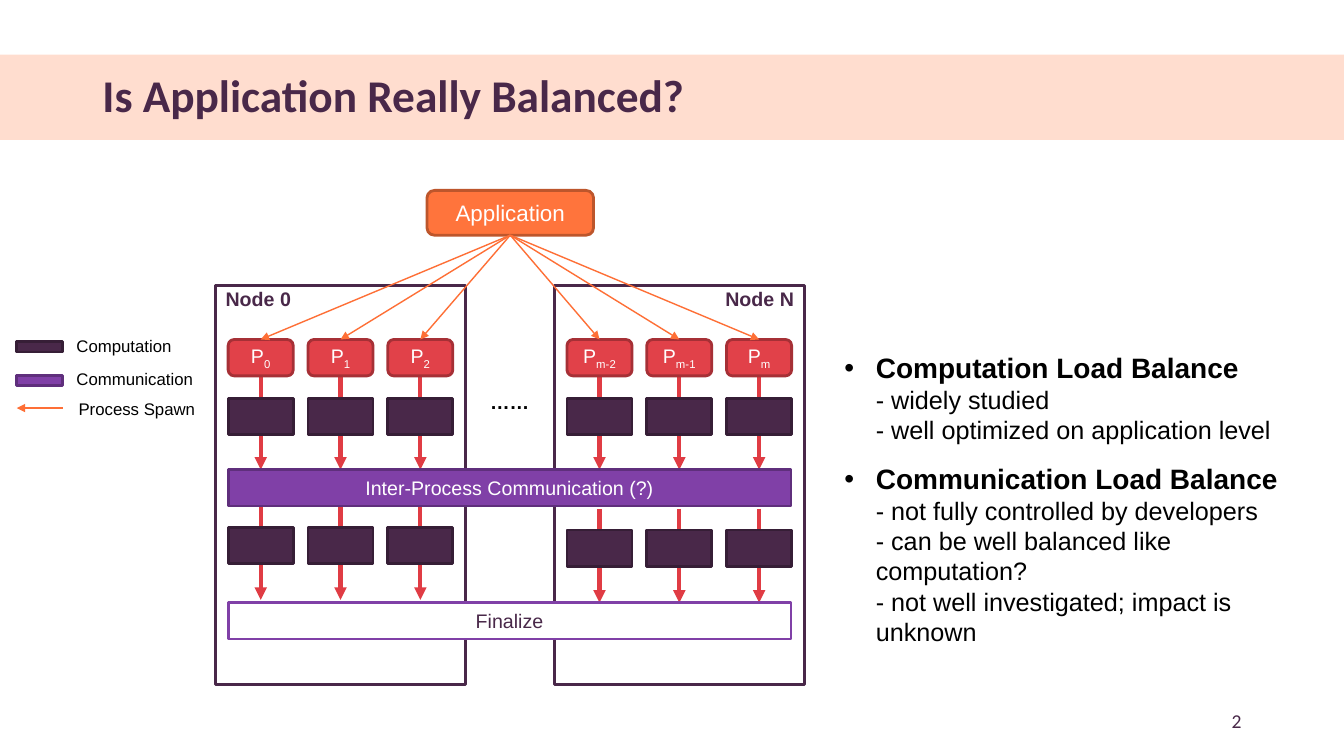
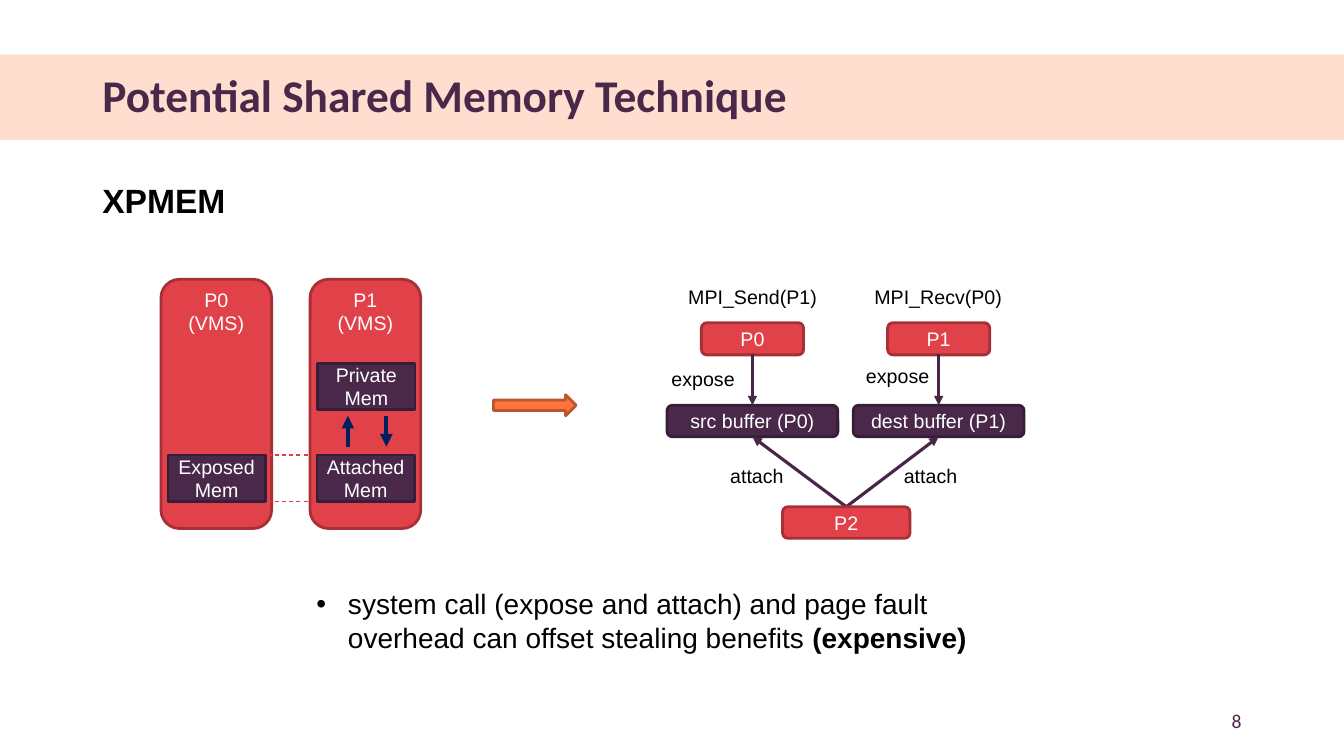
from lxml.etree import SubElement
from pptx import Presentation
from pptx.dml.color import RGBColor
from pptx.enum.dml import MSO_LINE
from pptx.enum.shapes import MSO_CONNECTOR, MSO_SHAPE
from pptx.enum.text import MSO_ANCHOR, MSO_AUTO_SIZE, PP_ALIGN
from pptx.oxml.ns import qn
from pptx.util import Pt

# Shared colours: each skin is (fill, outline)
BLACK, WHITE, PLUM, ROSE, FLAME = "000000", "FFFFFF", "492849", "E03C44", "FE6F36"
NAVY, PEACH = "002060", "FFDDCF"
DARK = (PLUM, "361E36")
RED = ("E14149", "A63036")
ORANGE = ("FF743C", "BD562C")
PURPLE = ("8040A7", "5F2F7C")
FRAME = (WHITE, PLUM)
HOLLOW = (WHITE, "8040A7")
RECT, ROUND = MSO_SHAPE.RECTANGLE, MSO_SHAPE.ROUNDED_RECTANGLE


def ink(code):
    return RGBColor.from_string(code)


# Text helpers
def write(para, text, size=14, color=BLACK, bold=False, face="Arial", sub=False):
    run = para.add_run()
    run.text = text
    font = run.font
    font.name, font.size, font.bold = face, Pt(size), bold
    font.color.rgb = ink(color)
    if sub:
        run._r.get_or_add_rPr().set("baseline", "-25000")


def label(slide, x, y, w, text, h=24, **style):
    frame = slide.shapes.add_textbox(Pt(x), Pt(y), Pt(w), Pt(h)).text_frame
    frame.word_wrap = True
    if text:
        write(frame.paragraphs[0], text, **style)
    return frame


def bullet(para):
    props = para._p.get_or_add_pPr()
    props.set("marL", str(Pt(22.5)))
    props.set("indent", str(-Pt(22.5)))
    tint = SubElement(props, qn("a:buClr"))
    SubElement(tint, qn("a:srgbClr")).set("val", BLACK)
    SubElement(props, qn("a:buFont")).set("typeface", "Arial")
    SubElement(props, qn("a:buChar")).set("char", "•")


# Shape helpers
def box(slide, x, y, w, h, skin, kind=RECT, text="", sub="", size=14,
        color=WHITE):
    shape = slide.shapes.add_shape(kind, Pt(x), Pt(y), Pt(w), Pt(h))
    shape.shadow.inherit = False
    shape.fill.solid()
    shape.fill.fore_color.rgb = ink(skin[0])
    shape.line.color.rgb = ink(skin[1])
    shape.line.width = Pt(2)
    frame = shape.text_frame
    frame.margin_left = frame.margin_right = 0
    frame.margin_top = frame.margin_bottom = 0
    frame.vertical_anchor = MSO_ANCHOR.MIDDLE
    para = frame.paragraphs[0]
    para.alignment = PP_ALIGN.CENTER
    if text:
        write(para, text, size, color)
    if sub:
        write(para, sub, size, color, sub=True)
    return shape


def line(slide, x1, y1, x2, y2, color, width, dash=False):
    link = slide.shapes.add_connector(
        MSO_CONNECTOR.STRAIGHT, Pt(x1), Pt(y1), Pt(x2), Pt(y2))
    link.line.color.rgb = ink(color)
    link.line.width = Pt(width)
    if dash:
        link.line.dash_style = MSO_LINE.DASH
    else:
        SubElement(link.line._get_or_add_ln(), qn("a:tailEnd")).set("type", "triangle")
    SubElement(link._element.spPr, qn("a:effectLst"))


# Band, title and page number
def start(deck, text, page):
    slide = deck.slides.add_slide(deck.slide_layouts[5])
    band = box(slide, 0, 39, 960, 61, (PEACH, PEACH))
    band.line.fill.background()
    slide.shapes._spTree.insert(2, band._element)
    title = slide.shapes.title
    title.left, title.top, title.width, title.height = Pt(66), Pt(51), Pt(828), Pt(37.5)
    frame = title.text_frame
    frame.auto_size = MSO_AUTO_SIZE.NONE
    frame.vertical_anchor = MSO_ANCHOR.MIDDLE
    para = frame.paragraphs[0]
    para.alignment = PP_ALIGN.LEFT
    para.line_spacing = 0.9
    write(para, text, 32.4, PLUM, True, "Calibri")
    foot = label(slide, 678, 500, 216, str(page), h=29, color=PLUM, face="Calibri")
    foot.vertical_anchor = MSO_ANCHOR.MIDDLE
    foot.paragraphs[0].alignment = PP_ALIGN.RIGHT
    return slide


# Legend
def legend(slide, x, y):
    for top, skin, text in ((0, DARK, "Computation"), (24, PURPLE, "Communication")):
        box(slide, x, y + top, 33, 7.5, skin)
        label(slide, x + 35.5, y + top - 8, 110, text, size=12)
    line(slide, x + 33, y + 47.5, x, y + 47.5, FLAME, 1)
    label(slide, x + 37, y + 37.5, 110, "Process Spawn", size=12)


# One node: process columns with two computation phases
def node(slide, x, y, subs, name, shift, drop):
    box(slide, x, y, 178.5, 285, FRAME)
    label(slide, x + shift, y - 2.5, 68, name, color=PLUM, bold=True)
    for col, sub in enumerate(subs):
        left = x + 9 + 57 * col
        mid = left + 23.25
        line(slide, mid, y + 64.5, mid, y + 131.5, ROSE, 3)
        line(slide, mid, y + 157.5 + drop, mid, y + 224.5 + drop, ROSE, 3)
        box(slide, left, y + 38.5, 46.5, 26, RED, ROUND, "P", sub)
        for top in (80.5, 172.5 + drop):
            box(slide, left, y + top, 46.5, 26, DARK)


# Application spawning processes on two nodes
def spawn(slide, x, y):
    nodes = ((x, "012", "Node 0", 0, 0),
             (x + 242, ("m-2", "m-1", "m"), "Node N", 115, 2))
    for left, subs, name, shift, drop in nodes:
        node(slide, left, y + 68, subs, name, shift, drop)
    box(slide, x + 151, y, 119, 32, ORANGE, ROUND, "Application", size=16)
    label(slide, x + 189, y + 139, 52, "……", bold=True)
    for left, *_ in nodes:
        for col in range(3):
            line(slide, x + 210.5, y + 32, left + 32.25 + 57 * col, y + 106.5, FLAME, 1)
    box(slide, x + 9, y + 199.5, 402, 26, PURPLE,
        text="Inter-Process Communication (?)")
    box(slide, x + 9, y + 294.5, 402, 26, HOLLOW, text="Finalize", color=PLUM)


# Bulleted findings
def notes(slide, x, y, w, h, items):
    frame = label(slide, x, y, w, "", h)
    for rank, (head, *rows) in enumerate(items):
        para = frame.add_paragraph() if rank else frame.paragraphs[0]
        bullet(para)
        para.space_before = Pt(6 if rank else 0)
        para.space_after = Pt(6)
        write(para, head, 20, bold=True)
        for row in rows:
            para.add_line_break()
            write(para, row, 18)


# Two address spaces sharing a memory block
def memory(slide, x, y):
    for col, (name, kind) in enumerate((("P0", "Exposed"), ("P1", "Attached"))):
        left = x + 106.5 * col
        space = box(slide, left, y, 79, 178, RED, ROUND, name).text_frame
        space.vertical_anchor = MSO_ANCHOR.TOP
        space.margin_top = Pt(2)
        para = space.add_paragraph()
        para.alignment = PP_ALIGN.CENTER
        write(para, "(VMS)", color=WHITE)
        box(slide, left + 5, y + 125.5, 69.5, 33, DARK, text=kind + " Mem")
    box(slide, x + 112, y + 60, 69.5, 33, DARK, text="Private Mem")
    for row in (125.5, 158.5):
        line(slide, x + 76, y + row, x + 110, y + row, ROSE, 0.75, dash=True)
    line(slide, x + 133.5, y + 119.5, x + 133.5, y + 97.5, NAVY, 3)
    line(slide, x + 161, y + 97.5, x + 161, y + 119.5, NAVY, 3)


# Send and receive buffers attached by a third process
def flow(slide, x, y):
    sides = (("MPI_Send(P1)", "P0", "src buffer (P0)", -65, 58.5, -23),
             ("MPI_Recv(P0)", "P1", "dest buffer (P1)", -59, 56.5, -32))
    hub = x + 128
    for col, (call, name, store, near, top, low) in enumerate(sides):
        mid = x + 61 + 133 * col
        label(slide, mid - 53, y, 114, call)
        box(slide, mid - 36.5, y + 30.5, 73, 23, RED, ROUND, name)
        box(slide, mid - 61, y + 89.5, 122, 22.5, DARK, ROUND, store)
        label(slide, mid + near, y + top, 68, "expose")
        label(slide, mid + low, y + 128, 68, "attach")
        line(slide, mid, y + 53, mid, y + 89.5, "482648", 2.25)
        line(slide, hub, y + 162, mid, y + 112, "482648", 2.25)
    box(slide, hub - 45.5, y + 162, 91, 22.5, RED, ROUND, "P2")


# Slide on load balance
def balance(deck):
    slide = start(deck, "Is Application Really Balanced?", 2)
    notes(slide, 596, 247, 349, 220, (
        ("Computation Load Balance", "- widely studied",
         "- well optimized on application level"),
        ("Communication Load Balance", "- not fully controlled by developers",
         "- can be well balanced like computation?",
         "- not well investigated; impact is unknown")))
    legend(slide, 12, 244)
    spawn(slide, 154, 136)


# Slide on shared memory
def shared(deck):
    slide = start(deck, "Potential Shared Memory Technique", 8)
    label(slide, 66, 125, 270, "XPMEM", h=36, size=24, bold=True)
    memory(slide, 115, 199.5)
    box(slide, 352.5, 282, 59, 15, ORANGE, MSO_SHAPE.RIGHT_ARROW)
    flow(slide, 476.5, 200)
    para = label(slide, 219, 415.5, 487, "", h=80).paragraphs[0]
    bullet(para)
    write(para, "system call (expose and attach) and page fault overhead "
                "can offset stealing benefits ", 20)
    write(para, "(expensive)", 20, bold=True)


def main():
    deck = Presentation()
    deck.slide_width, deck.slide_height = Pt(960), Pt(540)
    balance(deck)
    shared(deck)
    deck.save("out.pptx")


if __name__ == "__main__":
    main()
